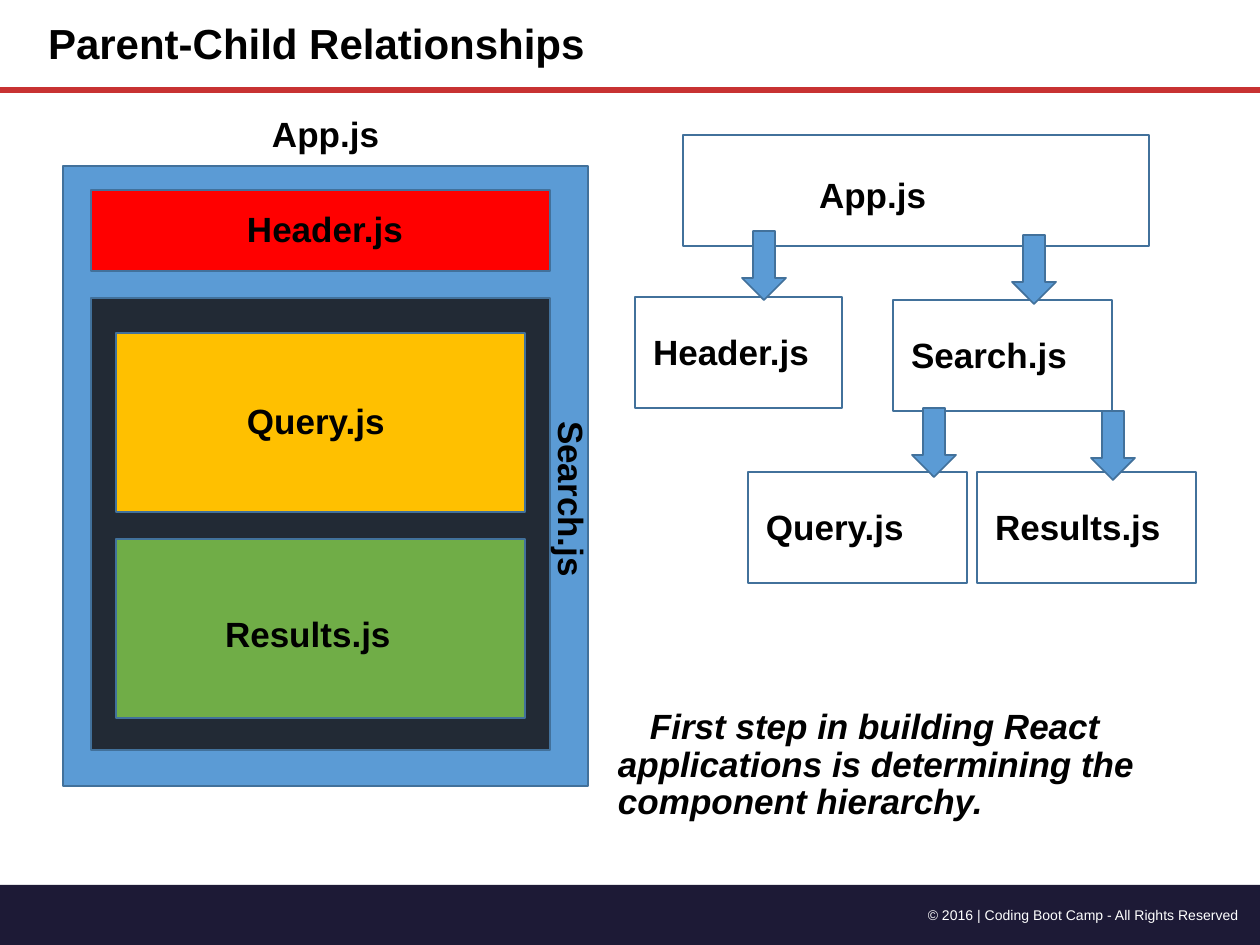
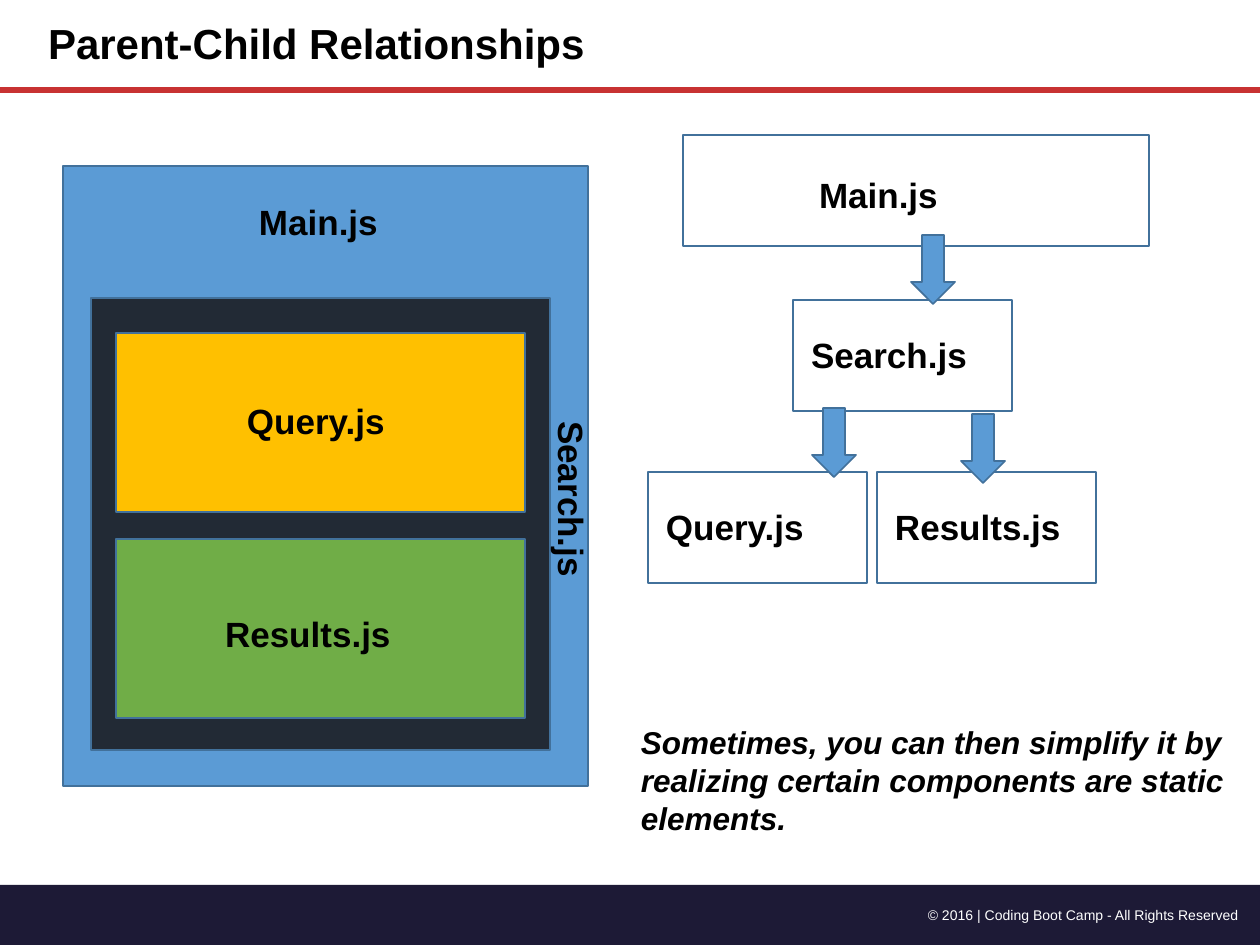
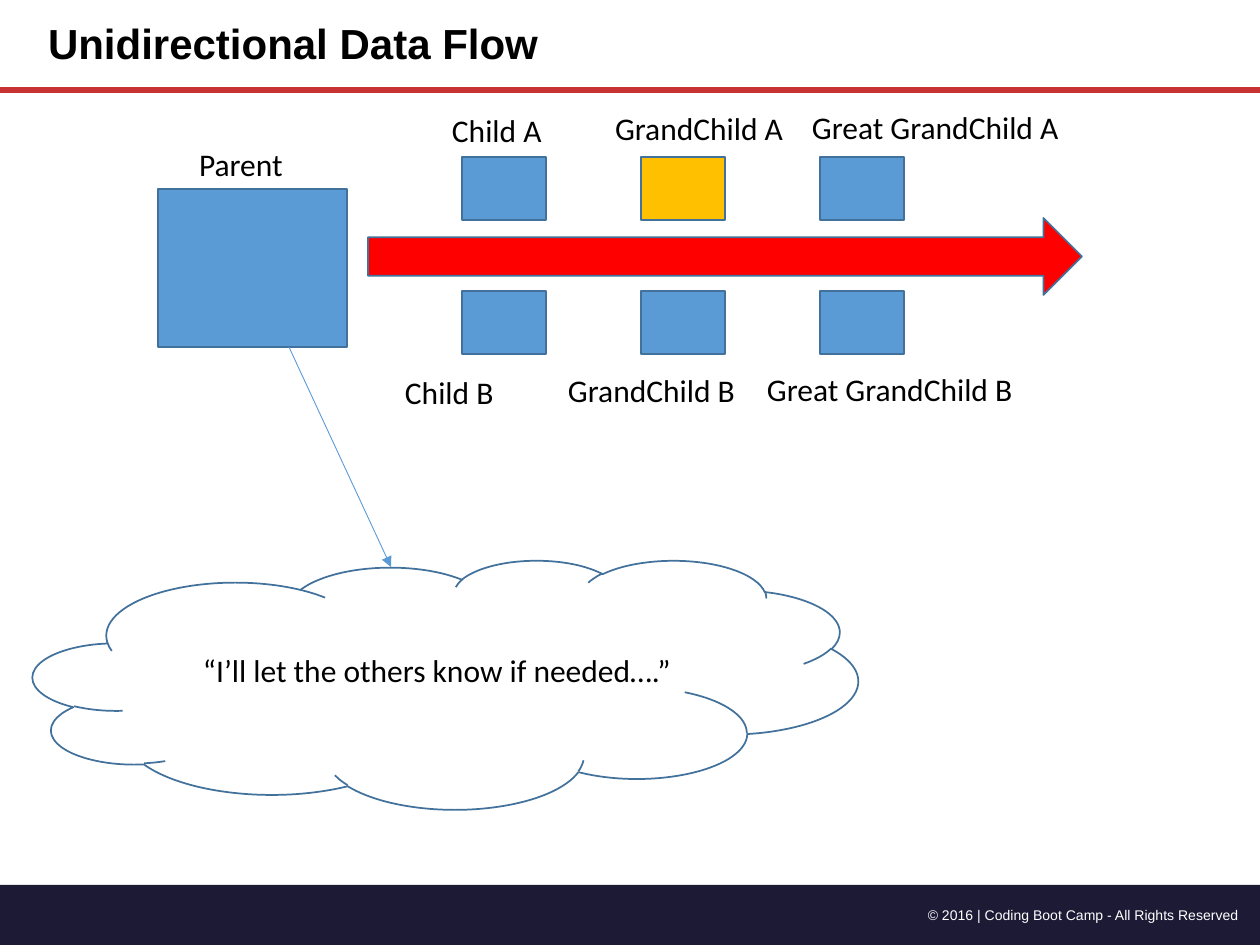
from lxml.etree import SubElement
from pptx import Presentation
from pptx.dml.color import RGBColor
from pptx.enum.shapes import MSO_CONNECTOR, MSO_SHAPE as Kind
from pptx.enum.text import MSO_ANCHOR, MSO_AUTO_SIZE, PP_ALIGN as Align
from pptx.oxml.ns import qn
from pptx.util import Pt

PX = 914400 / 126
INK = {
    "black": "000000", "white": "FFFFFF", "navy": "1D1A36", "rule": "C83232",
    "edge": "42719B", "blue": "5B9BD5", "red": "FF0000", "dark": "222A35",
    "gold": "FFC000", "green": "70AD47",
}


def put(slide, kind, box, fill=None, edge="edge", width=1):
    """Add a preset shape, a "text" box or a "line" (x1, y1, x2, y2)."""
    emu = [round(n * PX) for n in box]
    if kind == "text":
        return slide.shapes.add_textbox(*emu)
    if kind == "line":
        shape = slide.shapes.add_connector(MSO_CONNECTOR.STRAIGHT, *emu)
    else:
        shape = slide.shapes.add_shape(kind, *emu)
        shape.shadow.inherit = False
        if fill:
            shape.fill.solid()
            shape.fill.fore_color.rgb = RGBColor.from_string(INK[fill])
        else:
            shape.fill.background()
    if edge:
        shape.line.color.rgb = RGBColor.from_string(INK[edge])
        shape.line.width = Pt(width)
    else:
        shape.line.fill.background()
    if kind == "line":
        SubElement(shape.element.spPr, qn("a:effectLst"))
    return shape


def write(shape, text, font="Arial", size=20, bold=True, italic=False,
          color="black", align=Align.LEFT, space=1.0, indent=0):
    frame = shape.text_frame
    frame.word_wrap = True
    frame.auto_size = MSO_AUTO_SIZE.NONE
    frame.margin_left = frame.margin_right = round(6 * PX)
    frame.margin_top = frame.margin_bottom = round(6 * PX)
    par = frame.paragraphs[0]
    par.alignment, par.line_spacing = align, space
    if indent:
        par._p.get_or_add_pPr().set("indent", str(round(indent * PX)))
    run = par.add_run()
    run.text = text
    run.font.name, run.font.size = font, Pt(size)
    run.font.bold, run.font.italic = bold, italic
    run.font.color.rgb = RGBColor.from_string(INK[color])


deck = Presentation()
deck.slide_width, deck.slide_height = round(1260 * PX), round(945 * PX)

# Shared layout: title place, band, footer and rule
layout = deck.slide_layouts[5]
head = layout.placeholders[0]
head.left, head.top, head.width, head.height = [round(n * PX) for n in (42, 0, 753, 91)]
head.text_frame.vertical_anchor = MSO_ANCHOR.MIDDLE

slides = []
for title in ("Parent-Child Relationships", "Parent-Child Relationships",
              "Unidirectional Data Flow"):
    slide = deck.slides.add_slide(layout)
    write(slide.shapes.title, title, size=24, space=0.9)
    slides.append(slide)
full, lean, flow = slides

band = put(full, Kind.RECTANGLE, (0, 885, 1261, 63), "navy", None)
foot = put(full, "text", (861, 901, 384, 28))
write(foot, "© 2016 | Coding Boot Camp - All Rights Reserved",
      size=8, bold=False, color="white", align=Align.RIGHT)
rule = put(full, "line", (0, 90, 1260, 90), edge="rule", width=3.25)
for part in (band, foot, rule):
    layout.shapes.element.append(part.element)

# Slides 1 and 2: nested boxes on the left, tree on the right
WIDE = {"App.js": 121, "Main.js": 134, "Header.js": 170, "Search.js": 170,
        "Query.js": 151, "Results.js": 180}
NEST = [((63, 166, 525, 620), "blue"), ((91, 298, 459, 452), "dark"),
        ((116, 333, 409, 179), "gold"), ((116, 539, 409, 179), "green")]
TAGS = [("Query.js", 241, 394), ("Results.js", 219, 607)]
BAR = (91, 190, 459, 81)

# Node: name, left, top, width, then the offset of its label
charts = [
    (full, [("App.js", 266, 107), ("Header.js", 241, 202)],
     [("App.js", 683, 135, 466, 130, 33), ("Search.js", 893, 300, 219, 12, 28),
      ("Header.js", 635, 297, 207, 12, 28), ("Query.js", 748, 472, 219, 12, 28),
      ("Results.js", 977, 472, 219, 12, 28)],
     [(742, 231), (1012, 235), (1091, 411), (912, 408)]),
    (lean, [("Main.js", 253, 195)],
     [("Main.js", 683, 135, 466, 130, 33), ("Search.js", 793, 300, 219, 12, 28),
      ("Query.js", 648, 472, 219, 12, 28), ("Results.js", 877, 472, 219, 12, 28)],
     [(911, 235), (961, 414), (812, 408)]),
]
for slide, tags, nodes, arrows in charts:
    for box, fill in NEST:
        put(slide, Kind.RECTANGLE, box, fill)
    if slide is full:
        put(slide, Kind.RECTANGLE, BAR, "red")
    for name, x, y in TAGS + tags:
        write(put(slide, "text", (x, y, WIDE[name], 52)), name)
    side = put(slide, "text", (488, 474, 170, 52))
    side.rotation = 90
    write(side, "Search.js")
    for name, x, y, w, dx, dy in nodes:
        put(slide, Kind.RECTANGLE, (x, y, w, 111))
        write(put(slide, "text", (x + dx, y + dy, WIDE[name], 52)), name)
    for x, y in arrows:
        put(slide, Kind.DOWN_ARROW, (x, y, 44, 69), "blue")

write(put(full, "text", (612, 703, 626, 125)),
      "First step in building React applications is determining the component hierarchy.",
      italic=True, space=0.9, indent=32)
write(put(lean, "text", (635, 717, 630, 122)),
      "Sometimes, you can then simplify it by realizing certain components are static elements.",
      size=18, italic=True)

# Slide 3: the flow arrow between two rows of children
put(flow, Kind.RIGHT_ARROW, (368, 218, 714, 77), "red")
put(flow, Kind.RECTANGLE, (158, 189, 189, 158), "blue")
for row, y in enumerate((157, 291)):
    for col in range(3):
        fill = "gold" if (row, col) == (0, 1) else "blue"
        put(flow, Kind.RECTANGLE, (462 + 179 * col, y, 84, 63), fill)

# Thought cloud and its pointer
put(flow, Kind.CLOUD, (33, 560, 825, 249), "white")
link = put(flow, "line", (289, 347, 391, 567), edge="blue", width=0.5)
SubElement(link.element.spPr.find(qn("a:ln")), qn("a:tailEnd"), type="triangle")

for name, x, y, w in [
    ("Parent", 193, 139, 106),
    ("Child A", 446, 105, 112),
    ("GrandChild A", 609, 103, 198),
    ("Great GrandChild A", 806, 102, 287),
    ("Child B", 399, 367, 117),
    ("GrandChild B", 562, 365, 198),
    ("Great GrandChild B", 761, 364, 278),
    ("“I’ll let the others know if needed….”", 197, 645, 551),
]:
    write(put(flow, "text", (x, y, w, 49)), name, font="Calibri", size=18, bold=False)

deck.save("out.pptx")
